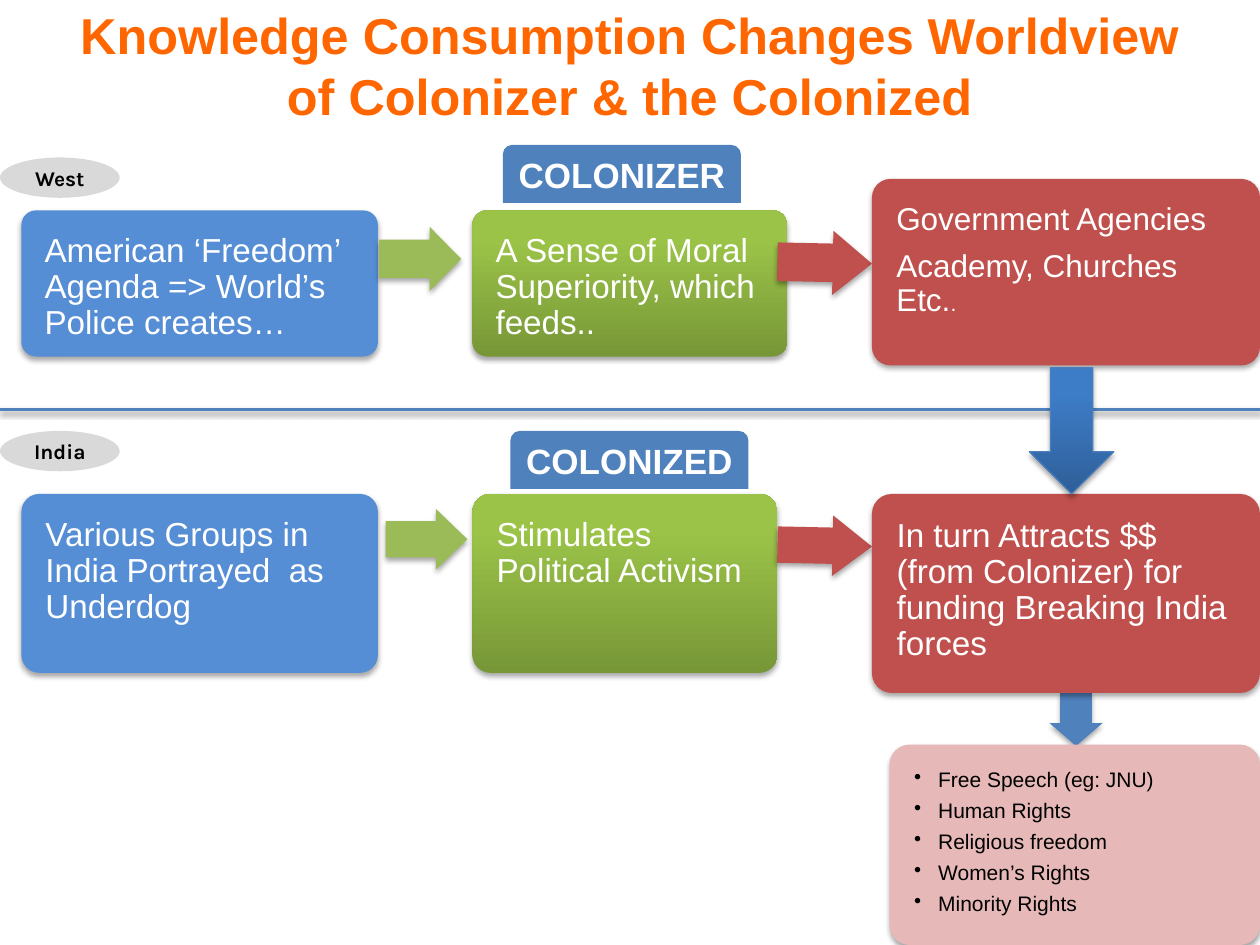
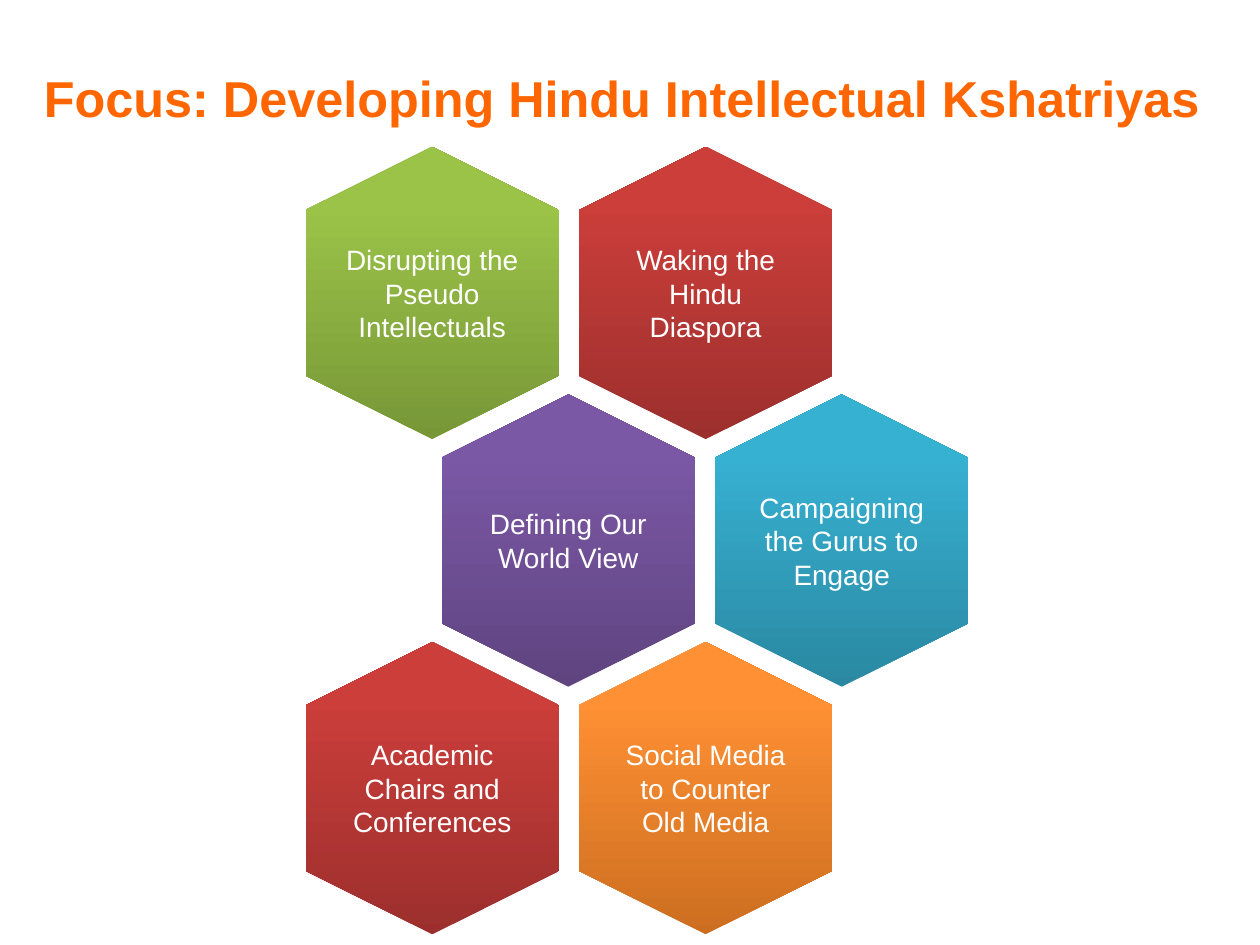
"""Build two slides on worldview change and intellectual focus."""
from dataclasses import dataclass

from lxml import etree
from pptx import Presentation
from pptx.dml.color import RGBColor
from pptx.enum.shapes import MSO_CONNECTOR, MSO_SHAPE
from pptx.enum.text import MSO_ANCHOR, PP_ALIGN
from pptx.oxml.ns import qn
from pptx.util import Inches, Pt

ROUND, TAB, OVAL = MSO_SHAPE.ROUNDED_RECTANGLE, MSO_SHAPE.ROUND_2_SAME_RECTANGLE, MSO_SHAPE.OVAL
RIGHT, DOWN, HEXAGON = MSO_SHAPE.RIGHT_ARROW, MSO_SHAPE.DOWN_ARROW, MSO_SHAPE.HEXAGON
STRAIGHT = MSO_CONNECTOR.STRAIGHT
TOP, MIDDLE = MSO_ANCHOR.TOP, MSO_ANCHOR.MIDDLE
LEFT, CENTER = PP_ALIGN.LEFT, PP_ALIGN.CENTER

COLORS = {
    "title": "FF6600", "white": "FFFFFF", "black": "000000", "sky": "558ED5",
    "blue": "4F81BD", "leaf": "9BBB59", "red": "C0504D", "pink": "E6B9B8",
    "gray": "D9D9D9", "edge": "4B7EBC",
}
FADES = {
    "green": ("779737", "9BC348"), "crimson": ("9C2F2D", "CB3E3A"),
    "purple": ("5F4480", "7B58A6"), "teal": ("2A88A2", "37B1D2"),
    "orange": ("CC6E20", "FF9034"), "navy": ("2F5F99", "3D7CC7"),
}


@dataclass
class Box:
    left: float
    top: float
    width: float
    height: float
    fill: str
    lines: tuple[str, ...]
    size: float = 19
    color: str = "white"
    bullet: bool = False
    tail: str = ""


@dataclass
class Arrow:
    left: float
    top: float
    width: float
    height: float
    fill: str
    kind: int = RIGHT
    shaft: float = 0.6
    head: float = 0.49
    turn: float = 0


@dataclass
class Label:
    left: float
    top: float
    text: str


@dataclass
class Cell:
    row: int
    col: int
    fill: str
    text: str


BOXES = (
    Box(0.17, 1.67, 2.83, 1.16, "sky", ("American ‘Freedom’ Agenda => World’s Police creates…",)),
    Box(3.75, 1.67, 2.5, 1.16, "green", ("A Sense of Moral Superiority, which feeds..",)),
    Box(0.17, 3.92, 2.83, 1.42, "sky", ("Various Groups in India Portrayed  as Underdog",)),
    Box(3.75, 3.92, 2.42, 1.42, "green", ("Stimulates Political Activism",)),
)
ARROWS = (
    Arrow(3.01, 1.8, 0.65, 0.51, "leaf"),
    Arrow(6.17, 1.83, 0.75, 0.51, "red", head=0.61, turn=1.2),
    Arrow(3.06, 4.04, 0.65, 0.48, "leaf", head=0.52),
    Arrow(6.17, 4.09, 0.75, 0.48, "red", head=0.65, turn=1.2),
    Arrow(8.33, 5.5, 0.42, 0.42, "blue", DOWN, head=0.43),
)
ENDS = (
    Box(6.92, 1.42, 3.08, 1.48, "red", ("Government Agencies", "Academy, Churches Etc."), 18, tail="."),
    Box(6.92, 3.92, 3.08, 1.58, "red",
        ("In turn Attracts $$ (from Colonizer) for funding Breaking India forces",)),
    Box(7.06, 5.91, 2.94, 1.59, "pink",
        ("Free Speech (eg: JNU)", "Human Rights", "Religious freedom", "Women’s Rights",
         "Minority Rights"), 12, "black", bullet=True),
)
TABS = (Label(3.99, 1.15, "COLONIZER"), Label(4.05, 3.42, "COLONIZED"))
SIDES = (Label(0, 3.42, "India"), Label(0, 1.25, "West"))
CELLS = (
    Cell(0, 1, "crimson", "Waking the Hindu Diaspora"),
    Cell(0, 0, "green", "Disrupting the Pseudo Intellectuals"),
    Cell(1, 0, "purple", "Defining Our World View"),
    Cell(1, 1, "teal", "Campaigning the Gurus to Engage"),
    Cell(2, 1, "orange", "Social Media to Counter Old Media"),
    Cell(2, 0, "crimson", "Academic Chairs and Conferences"),
)


def rgb(name: str) -> RGBColor:
    return RGBColor.from_string(COLORS[name])


def place(left: float, top: float, width: float, height: float) -> tuple:
    return Inches(left), Inches(top), Inches(width), Inches(height)


def style(run, size: float, color: str, bold: bool = False, face: str = "Arial") -> None:
    font = run.font
    font.size, font.name, font.bold = Pt(size), face, bold
    font.color.rgb = rgb(color)


def write(shape, lines: tuple[str, ...], size: float, color: str, align: int, anchor: int,
          bold: bool = False, face: str = "Arial") -> None:
    frame = shape.text_frame
    frame.word_wrap = True
    frame.vertical_anchor = anchor
    frame.text = "\n".join(lines)
    for para in frame.paragraphs:
        para.alignment = align
        for run in para.runs:
            style(run, size, color, bold, face)


def inset(frame, side: float, base: float) -> None:
    frame.margin_left = frame.margin_top = frame.margin_right = Inches(side)
    frame.margin_bottom = Inches(base)


def shade(props) -> None:
    effects = props.find(qn("a:effectLst"))
    if effects is None:
        effects = etree.SubElement(props, qn("a:effectLst"))
    cast = etree.SubElement(effects, qn("a:outerShdw"), blurRad=str(Pt(3.1)), dist=str(Pt(1.8)),
                            dir="5400000", rotWithShape="0")
    tone = etree.SubElement(cast, qn("a:srgbClr"), val=COLORS["black"])
    etree.SubElement(tone, qn("a:alpha"), val="35000")


def draw(slide, kind: int, area: tuple, fill: str, lift: bool = False):
    shape = slide.shapes.add_shape(kind, *area)
    if fill in FADES:
        shape.fill.gradient()
        shape.fill.gradient_angle = 90
        for stop, tone, spot in zip(shape.fill.gradient_stops, FADES[fill], (0, 0.8)):
            stop.color.rgb = RGBColor.from_string(tone)
            stop.position = spot
        shape._element.spPr.find(qn("a:gradFill")).set("rotWithShape", "0")
    else:
        shape.fill.solid()
        shape.fill.fore_color.rgb = rgb(fill)
    shape.line.fill.background()
    shape.shadow.inherit = False
    if lift:
        shade(shape._element.spPr)
    return shape


def add_title(slide, area: tuple, text: str, align: int) -> None:
    box = slide.shapes.add_textbox(*area)
    write(box, (text,), 28.8, "title", align, MIDDLE, True)


def add_box(slide, box: Box) -> None:
    shape = draw(slide, ROUND, place(box.left, box.top, box.width, box.height), box.fill, True)
    shape.adjustments[0] = 0.1
    write(shape, box.lines, box.size, box.color, LEFT, TOP)
    inset(shape.text_frame, 0.15, 0.47)
    for para in shape.text_frame.paragraphs:
        para.line_spacing = 0.9
        para.space_after = Pt(0.4 * box.size)
        if box.bullet:
            props = para._p.get_or_add_pPr()
            props.set("marL", str(Inches(0.19)))
            props.set("indent", str(-Inches(0.19)))
            etree.SubElement(props, qn("a:buChar"), char="•")
    if box.tail:
        run = shape.text_frame.paragraphs[-1].add_run()
        run.text = box.tail
        style(run, 12, box.color)


def add_arrow(slide, arrow: Arrow) -> None:
    area = place(arrow.left, arrow.top, arrow.width, arrow.height)
    shape = draw(slide, arrow.kind, area, arrow.fill, True)
    shape.adjustments[0], shape.adjustments[1] = arrow.shaft, arrow.head
    shape.rotation = arrow.turn
    if arrow.fill == "navy":
        shape.line.color.rgb = rgb("edge")
        shape.line.width = Pt(0.75)


def add_tab(slide, tab: Label) -> None:
    shape = draw(slide, TAB, place(tab.left, tab.top, 1.89, 0.46), "blue")
    write(shape, (tab.text,), 20, "white", CENTER, TOP, True)
    shape.text_frame.word_wrap = False


def add_side(slide, side: Label) -> None:
    shape = draw(slide, OVAL, place(side.left, side.top, 0.95, 0.32), "gray")
    write(shape, (side.text,), 12, "black", CENTER, MIDDLE, True, "Karla")


def add_rule(slide) -> None:
    rule = slide.shapes.add_connector(STRAIGHT, 0, Inches(3.25), Inches(10), Inches(3.25))
    rule.line.color.rgb = rgb("blue")
    rule.line.width = Pt(2)
    shade(rule._element.spPr)


def add_cell(slide, cell: Cell) -> None:
    left = 2.27 + 2.17 * cell.col + 1.08 * (cell.row % 2)
    top = 1.32 + 1.965 * cell.row
    shape = draw(slide, HEXAGON, place(left, top, 2.32, 2.01), cell.fill)
    shape.adjustments[0], shape.adjustments[1] = 0.25, 1.155
    shape.rotation = 90
    note = slide.shapes.add_textbox(*place(left + 0.465, top + 0.21, 1.39, 1.59))
    write(note, (cell.text,), 16, "white", CENTER, MIDDLE)
    inset(note.text_frame, 0, 0)


def build_flow(slide) -> None:
    add_title(slide, place(0.5, 0, 9, 1.03),
              "Knowledge Consumption Changes Worldview\vof Colonizer & the Colonized", CENTER)
    for box in BOXES:
        add_box(slide, box)
    for arrow in ARROWS:
        add_arrow(slide, arrow)
    for box in ENDS:
        add_box(slide, box)
    for tab in TABS:
        add_tab(slide, tab)
    add_rule(slide)
    for side in SIDES:
        add_side(slide, side)
    add_arrow(slide, Arrow(8.17, 2.92, 0.67, 1, "navy", DOWN, 0.5, 0.5))


def build_focus(slide) -> None:
    add_title(slide, place(0.25, 0.3, 9.58, 0.95),
              "Focus: Developing Hindu Intellectual Kshatriyas", LEFT)
    for cell in CELLS:
        add_cell(slide, cell)


def main() -> None:
    deck = Presentation()
    deck.slide_width, deck.slide_height = Inches(10), Inches(7.5)
    blank = deck.slide_layouts[6]
    for build in (build_flow, build_focus):
        build(deck.slides.add_slide(blank))
    deck.save("out.pptx")


if __name__ == "__main__":
    main()
